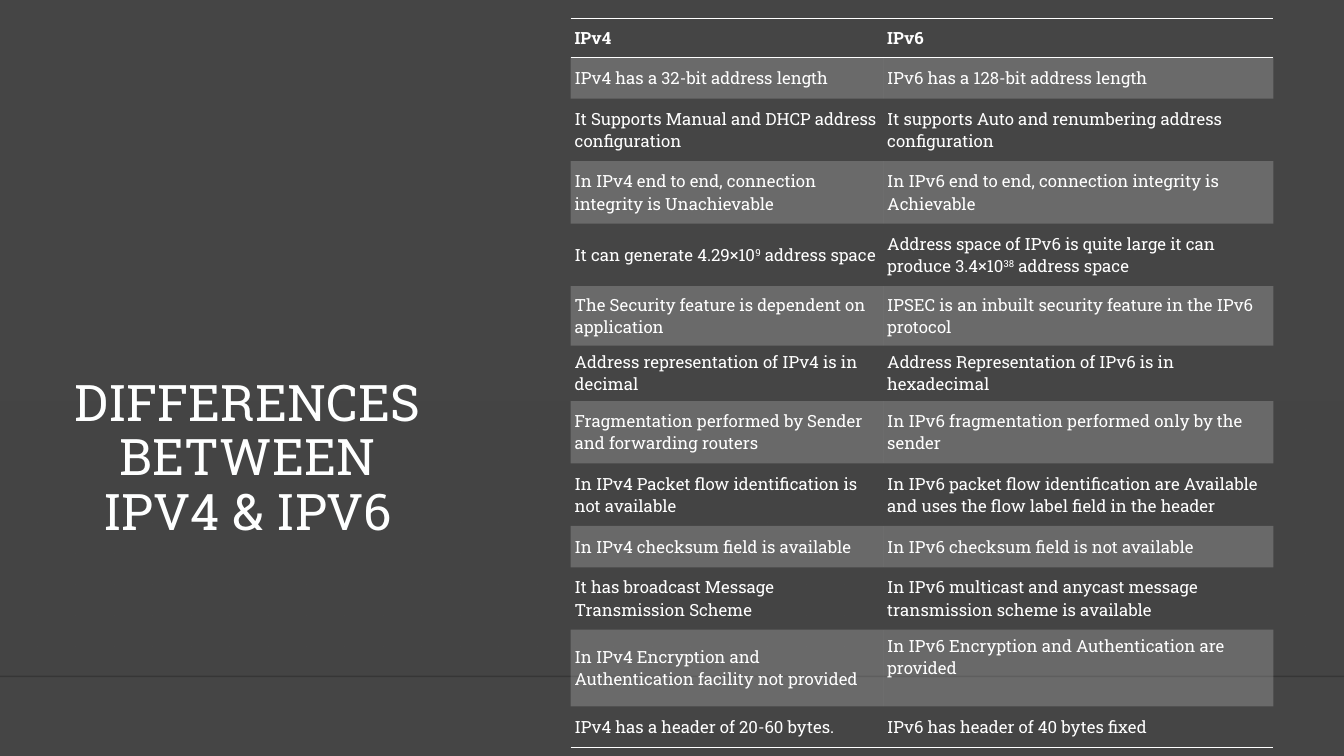
from dataclasses import dataclass

from lxml import etree
from pptx import Presentation
from pptx.dml.color import RGBColor
from pptx.enum.shapes import MSO_CONNECTOR, MSO_SHAPE
from pptx.enum.text import MSO_ANCHOR, PP_ALIGN
from pptx.oxml.ns import qn
from pptx.util import Inches, Pt

RECTANGLE = MSO_SHAPE.RECTANGLE
STRAIGHT = MSO_CONNECTOR.STRAIGHT
TOP, MIDDLE, BOTTOM = MSO_ANCHOR.TOP, MSO_ANCHOR.MIDDLE, MSO_ANCHOR.BOTTOM
CENTER, LEFT = PP_ALIGN.CENTER, PP_ALIGN.LEFT
PLAIN_TABLE_STYLE = "{2D5ABB26-0587-4C30-8999-92F81FD0307C}"


@dataclass(frozen=True)
class Theme:
    font: str = "Roboto Slab"
    background: str = "454545"
    horizon: str = "000001"
    title: str = "FEFFFF"
    light: str = "FFFFFF"
    title_size: int = 36
    cell_size: int = 12
    rule_width: int = 1
    band_alpha: int = 20
    horizon_alpha: int = 20
    shade_alpha: int = 80


THEME = Theme()
COLUMN_WIDTHS = [3.1, 3.87]
SUPERSCRIPT = "^"
ROWS = [
    (0.39, "IPv4", "IPv6"),
    (0.41, "IPv4 has a 32-bit address length", "IPv6 has a 128-bit address length"),
    (0.62, "It Supports Manual and DHCP address configuration",
     "It supports Auto and renumbering address configuration"),
    (0.62, "In IPv4 end to end, connection integrity is Unachievable",
     "In IPv6 end to end, connection integrity is Achievable"),
    (0.62, "It can generate 4.29×10^9^ address space",
     "Address space of IPv6 is quite large it can produce 3.4×10^38^ address space"),
    (0.59, "The Security feature is dependent on application",
     "IPSEC is an inbuilt security feature in the IPv6 protocol"),
    (0.55, "Address representation of IPv4 is in decimal",
     "Address Representation of IPv6 is in hexadecimal"),
    (0.62, "Fragmentation performed by Sender and forwarding routers",
     "In IPv6 fragmentation performed only by the sender"),
    (0.62, "In IPv4 Packet flow identification is not available",
     "In IPv6 packet flow identification are Available and uses the flow label field in the header"),
    (0.41, "In IPv4 checksum field is available", "In IPv6 checksum field is not available"),
    (0.62, "It has broadcast Message Transmission Scheme",
     "In IPv6 multicast and anycast message transmission scheme is available"),
    (0.76, "In IPv4 Encryption and Authentication facility not provided",
     "In IPv6 Encryption and Authentication are provided"),
    (0.41, "IPv4 has a header of 20-60 bytes.", "IPv6 has header of 40 bytes fixed"),
]
ENCRYPTION_ROW = 11


def set_alpha(color_element, percent):
    etree.SubElement(color_element, qn("a:alpha"), val=str(percent * 1000))


def add_span(para, text, size, color, bold=False):
    span = para.add_run()
    span.text = text
    span.font.name = THEME.font
    span.font.size = Pt(size)
    span.font.bold = bold
    span.font.color.rgb = RGBColor.from_string(color)
    return span


def set_margins(box, left, top, right, bottom):
    box.margin_left, box.margin_top = Inches(left), Inches(top)
    box.margin_right, box.margin_bottom = Inches(right), Inches(bottom)


def add_floor(page, left, top, width, height):
    shade = page.shapes.add_shape(
        RECTANGLE, Inches(left), Inches(top), Inches(width), Inches(height))
    shade.shadow.inherit = False
    shade.line.fill.background()
    shade.fill.gradient()
    shade.fill.gradient_angle = 270
    for stop, position, alpha in zip(shade.fill.gradient_stops, (0, 1), (0, THEME.shade_alpha)):
        stop.position = position
        stop.color.rgb = RGBColor.from_string(THEME.background)
    stop_colors = shade._element.spPr.findall(".//" + qn("a:srgbClr"))
    for color, alpha in zip(stop_colors, (0, THEME.shade_alpha)):
        set_alpha(color, alpha)

    bottom = Inches(top + height)
    horizon = page.shapes.add_connector(
        STRAIGHT, Inches(left), bottom, Inches(left + width), bottom)
    horizon.line.width = Pt(THEME.rule_width)
    horizon.line.color.rgb = RGBColor.from_string(THEME.horizon)
    properties = horizon._element.spPr
    set_alpha(properties.find(".//" + qn("a:srgbClr")), THEME.horizon_alpha)
    etree.SubElement(properties, qn("a:effectLst"))


def place_title(page, left, top, width, height):
    title = page.shapes.title
    page.shapes._spTree.append(title._element)
    title.left, title.top = Inches(left), Inches(top)
    title.width, title.height = Inches(width), Inches(height)
    box = title.text_frame
    box.word_wrap = True
    box.vertical_anchor = BOTTOM
    set_margins(box, 0.1, 0.05, 0.1, 0)
    para = box.paragraphs[0]
    para.alignment = CENTER
    para.line_spacing = 0.9
    add_span(para, "DIFFERENCES BETWEEN IPV4 & IPV6", THEME.title_size, THEME.title)


def set_borders(cell, sides):
    properties = cell._tc.get_or_add_tcPr()
    for index, side in enumerate(sides):
        border = etree.Element(qn("a:ln" + side), w=str(Pt(THEME.rule_width)))
        fill = etree.SubElement(border, qn("a:solidFill"))
        etree.SubElement(fill, qn("a:srgbClr"), val=THEME.light)
        properties.insert(index, border)


def fill_cell(cell, text, header, banded):
    inset = 0.04 if header else 0.05
    set_margins(cell, 0.04, inset, 0.04, inset)
    cell.vertical_anchor = MIDDLE
    para = cell.text_frame.paragraphs[0]
    para.alignment = LEFT
    for index, part in enumerate(text.split(SUPERSCRIPT)):
        span = add_span(para, part, THEME.cell_size, THEME.light, header)
        if index % 2:
            span.font._element.set("baseline", "30000")
    if banded:
        cell.fill.solid()
        cell.fill.fore_color.rgb = RGBColor.from_string(THEME.light)
        set_alpha(cell._tc.tcPr.find(".//" + qn("a:srgbClr")), THEME.band_alpha)
    else:
        cell.fill.background()


def add_comparison(page, left, top):
    frame = page.shapes.add_table(
        len(ROWS), len(COLUMN_WIDTHS), Inches(left), Inches(top),
        Inches(sum(COLUMN_WIDTHS)), Inches(sum(row[0] for row in ROWS)))
    table = frame.table
    table.horz_banding = False
    table._tbl.tblPr.find(qn("a:tableStyleId")).text = PLAIN_TABLE_STYLE
    for column, width in zip(table.columns, COLUMN_WIDTHS):
        column.width = Inches(width)
    last = len(ROWS) - 1
    for number, (height, *texts) in enumerate(ROWS):
        table.rows[number].height = Inches(height)
        for cell, text in zip(table.rows[number].cells, texts):
            fill_cell(cell, text, header=number == 0, banded=number % 2 == 1)
            if number == 0:
                set_borders(cell, "TB")
            elif number == last:
                set_borders(cell, "B")
    table.cell(ENCRYPTION_ROW, 1).vertical_anchor = TOP


def build_comparison_page(deck):
    page = deck.slides.add_slide(deck.slide_layouts[5])
    page.background.fill.solid()
    page.background.fill.fore_color.rgb = RGBColor.from_string(THEME.background)
    add_floor(page, 0, 3.96, 13.33, 2.75)
    place_title(page, 0.59, 1.06, 3.73, 4.31)
    add_comparison(page, 5.66, 0.18)


def main():
    deck = Presentation()
    deck.slide_width, deck.slide_height = Inches(13.33), Inches(7.5)
    build_comparison_page(deck)
    deck.save("out.pptx")


if __name__ == "__main__":
    main()
